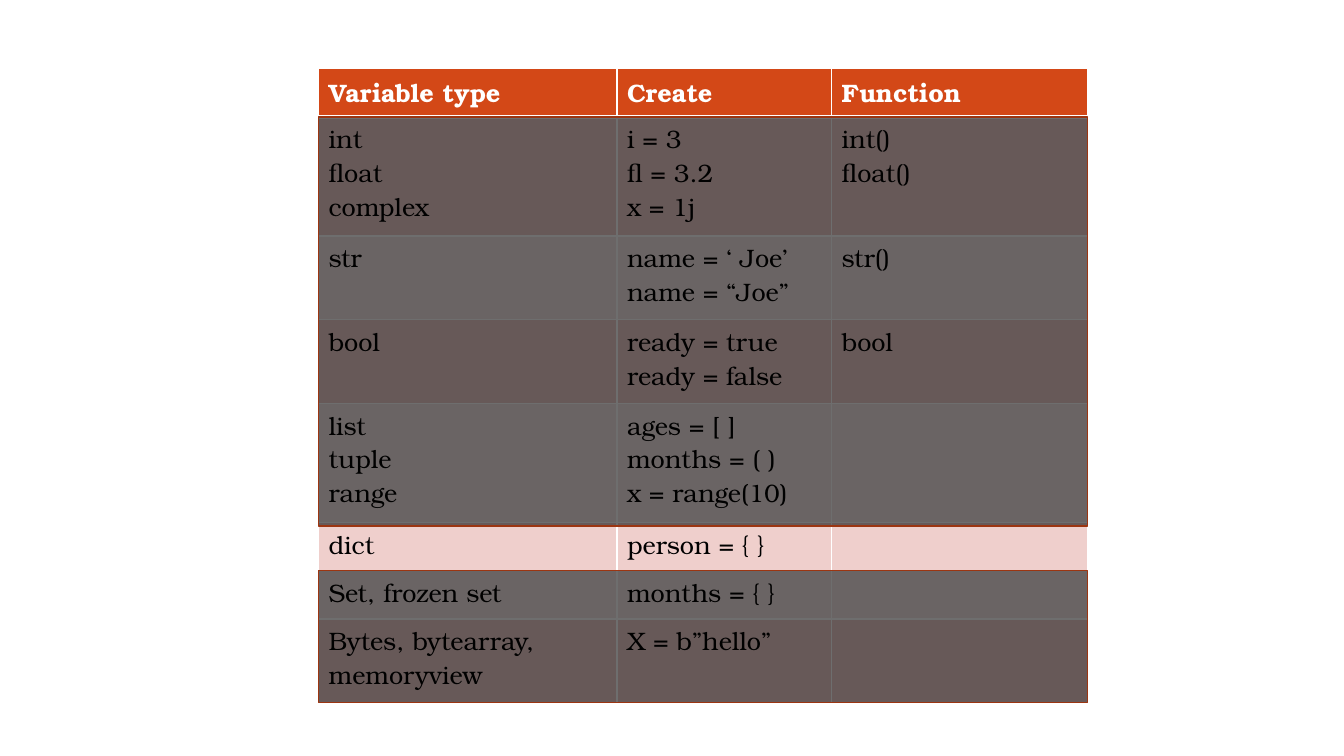
from lxml.etree import SubElement
from pptx import Presentation
from pptx.dml.color import RGBColor
from pptx.enum.shapes import MSO_SHAPE as Shape
from pptx.oxml import parse_xml
from pptx.oxml.ns import nsdecls, qn
from pptx.util import Pt

FONT = "TeX Gyre Bonum"
LEFT, TOP = 227.5, 49
COLUMN_WIDTHS = [213.2, 153.3, 182.9]
ROW_HEIGHTS = [34.56, 85, 59.8, 59.8, 85, 34.56, 34.56, 59.8]
VARIABLE_TYPES = [
    ("Variable type", "Create", "Function"),
    ("int\nfloat\ncomplex", "i = 3\nfl = 3.2\nx = 1j", "int()\nfloat()"),
    ("str", "name = ‘ Joe’\nname = “Joe”", "str()"),
    ("bool", "ready = true\nready = false", "bool"),
    ("list\ntuple\nrange", "ages = [ ]\nmonths = ( )\nx = range(10)", ""),
    ("dict", "person = { }", ""),
    ("Set, frozen set", "months = { }", ""),
    ("Bytes, bytearray, memoryview", "X = b”hello”", ""),
]


def paint(fill, color):
    """Give a fill one solid colour."""
    fill.solid()
    fill.fore_color.rgb = RGBColor.from_string(color)


def add_borders(cell, row):
    """Draw white cell borders, thicker below the header."""
    properties = cell._tc.get_or_add_tcPr()
    header_edge = {0: "B", 1: "T"}.get(row)
    for position, side in enumerate("LRTB"):
        width = Pt(3 if side == header_edge else 1)
        border = parse_xml(
            f'<a:ln{side} {nsdecls("a")} w="{width}"><a:solidFill>'
            f'<a:srgbClr val="FFFFFF"/></a:solidFill></a:ln{side}>')
        properties.insert(position, border)


def fill_cell(cell, text, row):
    """Write and format one table cell."""
    is_header = row == 0
    cell.text_frame.text = text
    for paragraph in cell.text_frame.paragraphs:
        font = paragraph.font
        font.name, font.size, font.bold = FONT, Pt(18), is_header
        font.color.rgb = RGBColor.from_string("FFFFFF" if is_header else "000000")
    band = "EFCFCC" if row % 2 else "F7E9E8"
    paint(cell.fill, "D34817" if is_header else band)
    add_borders(cell, row)


def add_types_table(slide):
    """Add the table of variable types."""
    table = slide.shapes.add_table(
        len(ROW_HEIGHTS), len(COLUMN_WIDTHS), Pt(LEFT), Pt(TOP),
        Pt(sum(COLUMN_WIDTHS)), Pt(sum(ROW_HEIGHTS))).table
    for column, width in zip(table.columns, COLUMN_WIDTHS):
        column.width = Pt(width)
    for row, (height, texts) in enumerate(zip(ROW_HEIGHTS, VARIABLE_TYPES)):
        table.rows[row].height = Pt(height)
        for column, text in enumerate(texts):
            fill_cell(table.cell(row, column), text, row)


def add_shade(slide, top, height):
    """Dim a band of the table with a translucent black rectangle."""
    shade = slide.shapes.add_shape(
        Shape.RECTANGLE, Pt(LEFT), Pt(top), Pt(sum(COLUMN_WIDTHS)), Pt(height))
    shade.shadow.inherit = False
    paint(shade.fill, "000000")
    black = shade.fill._xPr.find(qn("a:solidFill"))[0]
    SubElement(black, qn("a:alpha"), val="57000")
    paint(shade.line.fill, "9C3511")
    shade.line.width = Pt(1)


def main():
    """Build and save the slide."""
    presentation = Presentation()
    presentation.slide_width, presentation.slide_height = Pt(960), Pt(540)
    slide = presentation.slides.add_slide(presentation.slide_layouts[6])
    add_types_table(slide)
    add_shade(slide, 407.6, 94.3)
    add_shade(slide, 83.5, 292.3)
    presentation.save("out.pptx")


if __name__ == "__main__":
    main()
